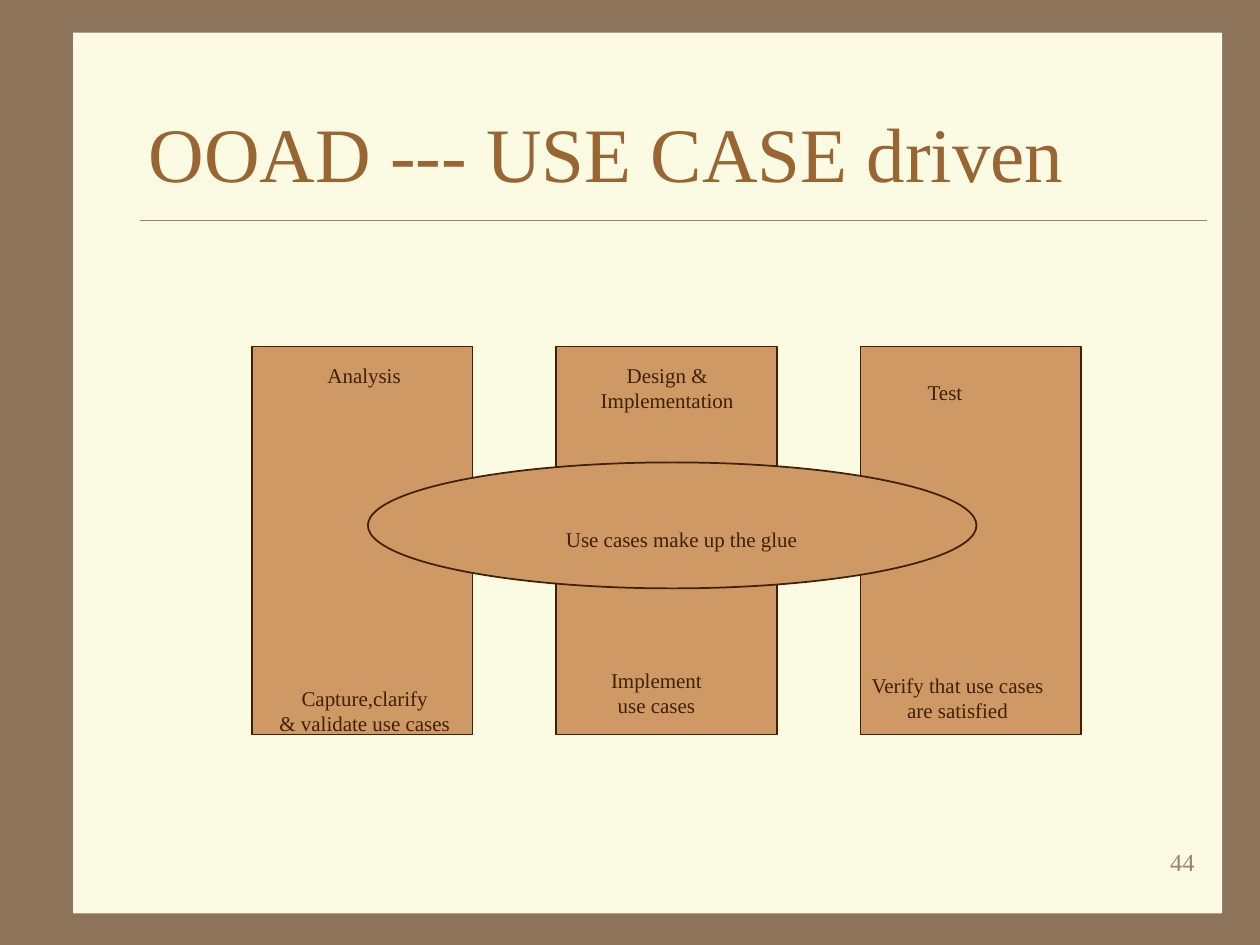
from pptx import Presentation
from pptx.dml.color import RGBColor
from pptx.enum.shapes import MSO_CONNECTOR, MSO_SHAPE
from pptx.enum.text import MSO_ANCHOR, PP_ALIGN
from pptx.oxml.ns import qn
from pptx.util import Inches, Pt
from lxml import etree

BROWN = RGBColor(0x8C, 0x73, 0x5A)
CREAM = RGBColor(0xFB, 0xFA, 0xE2)
TAN = RGBColor(0xA0, 0x83, 0x66)
TITLE_BROWN = RGBColor(0x99, 0x66, 0x33)
COPPER = RGBColor(0xCE, 0x99, 0x64)
DARK = RGBColor(0x40, 0x20, 0x00)

FONT = "Times New Roman"
FIRST_COLUMN, LAST_COLUMN = 2, 6.83
COLUMN_STEP = (LAST_COLUMN - FIRST_COLUMN) / 2

LABELS = [
    ("Capture,clarify\n& validate use cases", 2.12, 5.39, 1.55, 0.5),
    ("Analysis", 2.5, 2.83, 0.78, 0.3),
    ("Design &\nImplementation", 4.67, 2.83, 1.25, 0.5),
    ("Implement\nuse cases", 4.75, 5.25, 0.92, 0.5),
    ("Use cases make up the glue", 4.39, 4.13, 2.04, 0.3),
    ("Test", 7.26, 2.96, 0.48, 0.3),
    ("Verify that use cases\nare satisfied", 6.81, 5.29, 1.58, 0.5),
]


def add_filled_shape(slide, kind, left, top, width, height, fill, line=None):
    shape = slide.shapes.add_shape(
        kind, Inches(left), Inches(top), Inches(width), Inches(height))
    shape.shadow.inherit = False
    shape.fill.solid()
    shape.fill.fore_color.rgb = fill
    if line is None:
        shape.line.fill.background()
    else:
        shape.line.color.rgb = line
        shape.line.width = Pt(1)


def add_rule(slide, left, right, top):
    rule = slide.shapes.add_connector(
        MSO_CONNECTOR.STRAIGHT, Inches(left), Inches(top), Inches(right), Inches(top))
    rule.line.color.rgb = TAN
    rule.line.width = Pt(0.25)
    etree.SubElement(rule._element.spPr, qn("a:effectLst"))


def add_text(slide, text, left, top, width, height, *, size=12, color=DARK,
             align=PP_ALIGN.CENTER, anchor=MSO_ANCHOR.TOP, wrap=False,
             side_inset=0.1, bottom_inset=0.05):
    """Add a text box with one paragraph for each line of text."""
    box = slide.shapes.add_textbox(
        Inches(left), Inches(top), Inches(width), Inches(height))
    frame = box.text_frame
    frame.word_wrap = wrap
    frame.vertical_anchor = anchor
    frame.margin_left = frame.margin_right = Inches(side_inset)
    frame.margin_bottom = Inches(bottom_inset)
    frame.text = text
    for paragraph in frame.paragraphs:
        paragraph.alignment = align
        paragraph.font.name = FONT
        paragraph.font.size = Pt(size)
        paragraph.font.color.rgb = color


def main():
    presentation = Presentation()
    presentation.slide_width = Inches(10)
    presentation.slide_height = Inches(7.5)
    slide = presentation.slides.add_slide(presentation.slide_layouts[6])
    slide.background.fill.solid()
    slide.background.fill.fore_color.rgb = BROWN

    add_filled_shape(slide, MSO_SHAPE.RECTANGLE, 0.58, 0.26, 9.12, 6.99, CREAM)
    add_rule(slide, 1.11, 9.58, 1.75)
    add_text(slide, "OOAD --- USE CASE driven", 1.08, 0.5, 8.5, 1.25, size=44,
             color=TITLE_BROWN, align=PP_ALIGN.LEFT, anchor=MSO_ANCHOR.BOTTOM,
             wrap=True, bottom_inset=0.18)

    for column in range(3):
        left = FIRST_COLUMN + column * COLUMN_STEP
        add_filled_shape(slide, MSO_SHAPE.RECTANGLE, left, 2.75, 1.75, 3.08, COPPER, DARK)
    add_filled_shape(slide, MSO_SHAPE.OVAL, 2.92, 3.67, 4.83, 1, COPPER, DARK)
    for label in LABELS:
        add_text(slide, *label, side_inset=0.05)

    add_text(slide, "44", 7.5, 6.67, 2.08, 0.5, size=14, color=TAN,
             align=PP_ALIGN.RIGHT, wrap=True)
    presentation.save("out.pptx")


if __name__ == "__main__":
    main()
